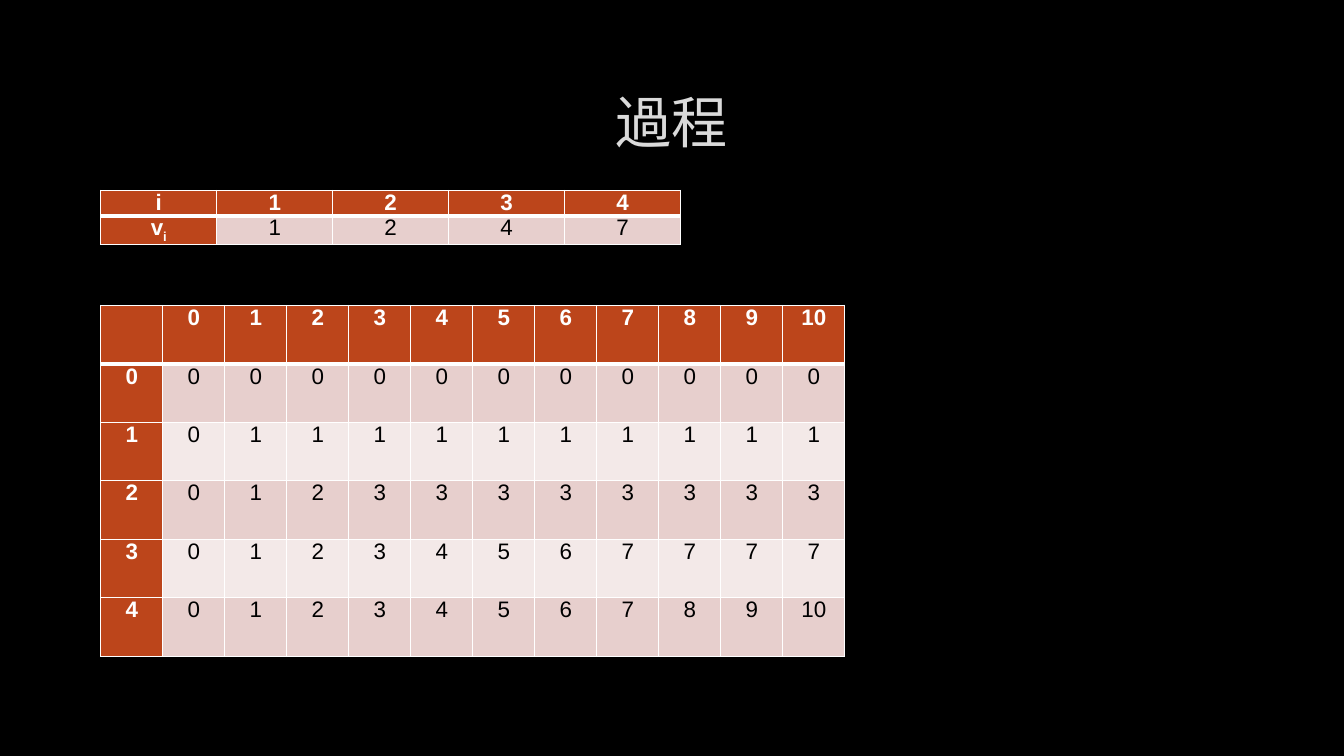
"""Build the slide that shows the item values and the dynamic programming table."""
from lxml.etree import SubElement
from pptx import Presentation
from pptx.dml.color import RGBColor
from pptx.enum.text import MSO_ANCHOR as ANCHOR, PP_ALIGN as ALIGN
from pptx.oxml import parse_xml
from pptx.oxml.ns import nsdecls, qn
from pptx.util import Inches, Pt

TITLE = "過程"
VALUES = [["i", 1, 2, 3, 4], [("v", "i"), 1, 2, 4, 7]]
STEPS = [
    ["", *range(11)],
    [0] + [0] * 11,
    [1, 0] + [1] * 10,
    [2, 0, 1, 2] + [3] * 8,
    [3, *range(8), 7, 7, 7],
    [4, *range(11)],
]
COLORS = {
    "background": "000000", "title": "DADADA", "outline": "404040",
    "header": "BC451B", "band_dark": "E7CFCD", "band_light": "F3E9E8",
    "header_text": "FFFFFF", "text": "000000", "border": "FFFFFF",
}
FONT = "Arial"
LEFT = 1


def rgb(name):
    return RGBColor.from_string(COLORS[name])


def style_run(r, size, color, bold=False):
    r.font.name = FONT
    r.font.size = Pt(size)
    r.font.bold = bold
    r.font.color.rgb = rgb(color)


def set_borders(cell, bottom):
    tcPr = cell._tc.get_or_add_tcPr()
    for i, (side, width) in enumerate(zip("LRTB", (1, 1, 1, bottom))):
        ln = parse_xml(f'<a:ln{side} {nsdecls("a")} w="{Pt(width)}"/>')
        fill = SubElement(ln, qn("a:solidFill"))
        SubElement(fill, qn("a:srgbClr"), val=COLORS["border"])
        tcPr.insert(i, ln)


def fill_cell(cell, value, row, col):
    header = row == 0 or col == 0
    band = "band_dark" if row % 2 else "band_light"
    cell.fill.solid()
    cell.fill.fore_color.rgb = rgb("header" if header else band)
    set_borders(cell, 1 if row else 3)
    cell.margin_left = cell.margin_right = Inches(0.07)
    cell.margin_top = cell.margin_bottom = 0
    p = cell.text_frame.paragraphs[0]
    p.alignment = ALIGN.CENTER
    base, sub = value if isinstance(value, tuple) else (str(value), "")
    for text, offset in ((base, None), (sub, "-25000")):
        if text:
            r = p.add_run()
            r.text = text
            style_run(r, 16, "header_text" if header else "text", header)
            if offset:
                r.font._element.set("baseline", offset)


def add_grid(slide, rows, top, col_width, row_heights):
    n = len(rows[0])
    table = slide.shapes.add_table(
        len(rows), n, Inches(LEFT), Inches(top),
        Inches(col_width * n), Inches(sum(row_heights))).table
    for column in table.columns:
        column.width = Inches(col_width)
    for i, values in enumerate(rows):
        table.rows[i].height = Inches(row_heights[i])
        for j, value in enumerate(values):
            fill_cell(table.cell(i, j), value, i, j)


def add_title(slide):
    sp = slide.shapes.title
    sp.left, sp.top = Inches(LEFT), Inches(0.67)
    sp.width, sp.height = Inches(11.32), Inches(1.06)
    tf = sp.text_frame
    tf.text = TITLE
    tf.vertical_anchor = ANCHOR.MIDDLE
    p = tf.paragraphs[0]
    p.alignment = ALIGN.CENTER
    r = p.runs[0]
    style_run(r, 40, "title")
    ln = parse_xml(f'<a:ln {nsdecls("a")} w="{Pt(0.75)}"/>')
    fill = SubElement(ln, qn("a:solidFill"))
    color = SubElement(fill, qn("a:srgbClr"), val=COLORS["outline"])
    SubElement(color, qn("a:alpha"), val="10000")
    r.font._element.insert(0, ln)


def main():
    prs = Presentation()
    prs.slide_width, prs.slide_height = Inches(13.33), Inches(7.5)
    slide = prs.slides.add_slide(prs.slide_layouts[5])
    slide.background.fill.solid()
    slide.background.fill.fore_color.rgb = rgb("background")
    add_title(slide)
    add_grid(slide, VALUES, 1.89, 1.15, [0.25, 0.28])
    add_grid(slide, STEPS, 3.03, 7.38 / 12, [0.58] * len(STEPS))
    prs.save("out.pptx")


if __name__ == "__main__":
    main()
